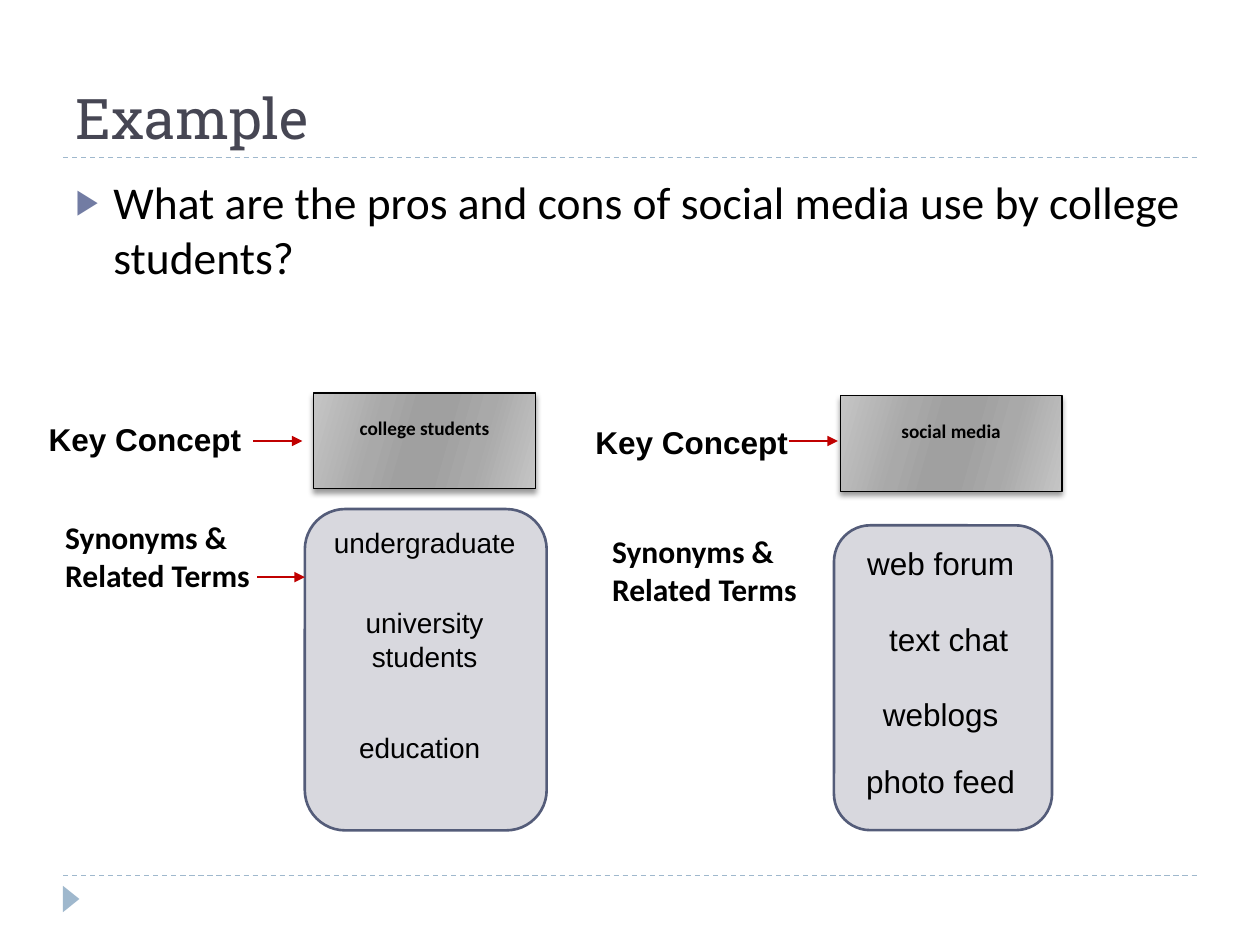
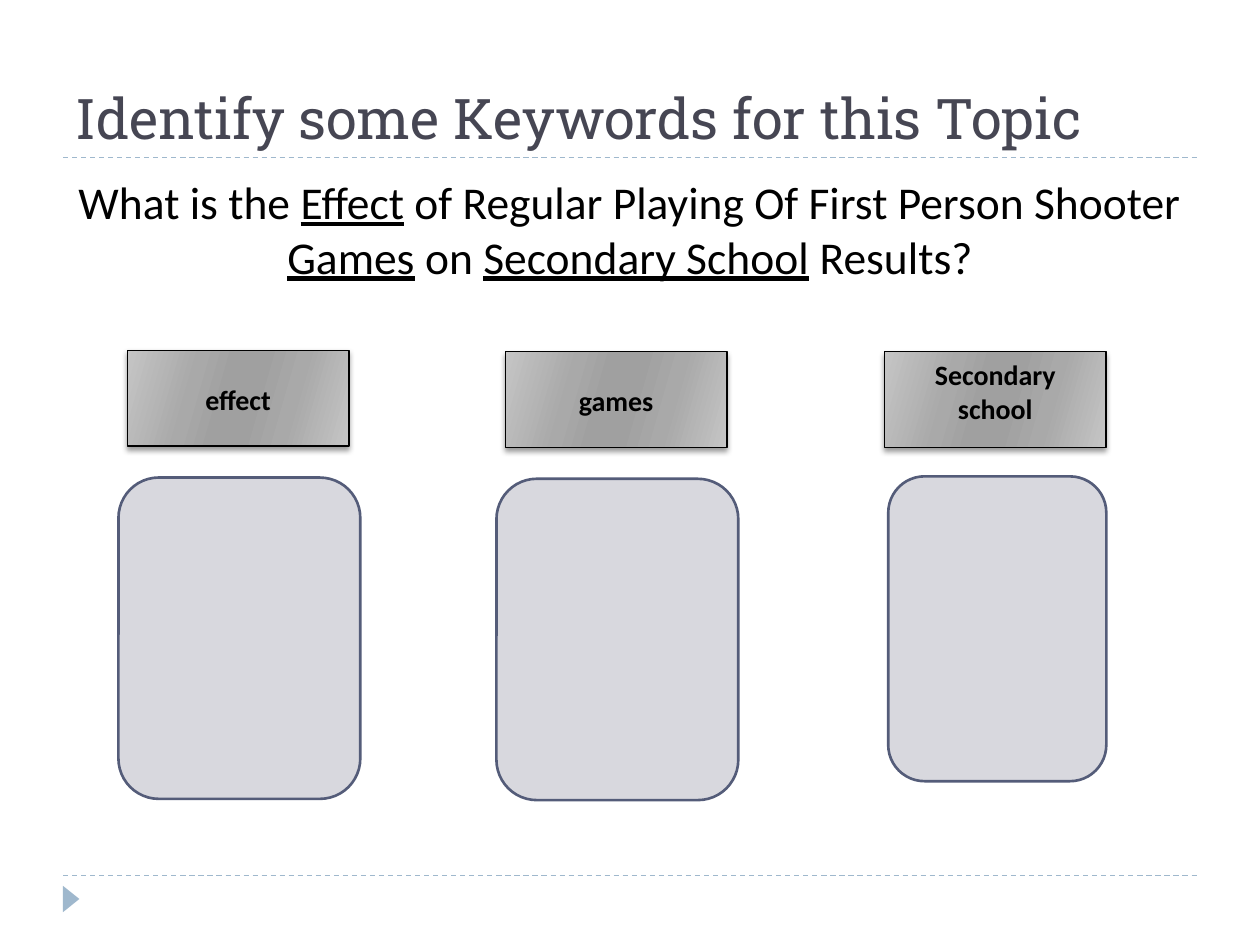
from lxml import etree
from pptx import Presentation
from pptx.dml.color import RGBColor
from pptx.enum.dml import MSO_LINE
from pptx.enum.shapes import MSO_CONNECTOR, MSO_SHAPE
from pptx.enum.text import MSO_ANCHOR, MSO_AUTO_SIZE, PP_ALIGN
from pptx.oxml import parse_xml
from pptx.oxml.ns import qn
from pptx.util import Pt

STRAIGHT = MSO_CONNECTOR.STRAIGHT
RECTANGLE = MSO_SHAPE.RECTANGLE
ROUNDED = MSO_SHAPE.ROUNDED_RECTANGLE
TRIANGLE = MSO_SHAPE.ISOSCELES_TRIANGLE
TOP, MIDDLE, BOTTOM = MSO_ANCHOR.TOP, MSO_ANCHOR.MIDDLE, MSO_ANCHOR.BOTTOM
LEFT, CENTER = PP_ALIGN.LEFT, PP_ALIGN.CENTER
NO_FIT = MSO_AUTO_SIZE.NONE
DASH = MSO_LINE.DASH

BLACK = RGBColor(0x00, 0x00, 0x00)
TITLE_SLATE = RGBColor(0x46, 0x46, 0x53)
BAND_BLUE = RGBColor(0x9F, 0xB8, 0xCD)
ARROW_RED = RGBColor(0xC0, 0x00, 0x00)
PANEL_GREY = RGBColor(0xD8, 0xD8, 0xDE)
PANEL_EDGE = RGBColor(0x54, 0x5C, 0x79)
BULLET_BLUE = RGBColor(0x72, 0x7C, 0xA3)

A_NS = 'xmlns:a="http://schemas.openxmlformats.org/drawingml/2006/main"'
STEEL_STOPS = [(0, "C5C5C5"), (30, "A9A9A9"), (45, "A0A0A0"),
               (55, "A0A0A0"), (73, "A9A9A9"), (100, "C5C5C5")]
STEEL_FILL = (
    f'<a:gradFill {A_NS} rotWithShape="1"><a:gsLst>'
    + "".join(f'<a:gs pos="{stop * 1000}"><a:srgbClr val="{shade}"/></a:gs>'
              for stop, shade in STEEL_STOPS)
    + '</a:gsLst><a:lin ang="960000" scaled="0"/></a:gradFill>')
SOFT_SHADOW = (
    f'<a:effectLst {A_NS}><a:outerShdw blurRad="{Pt(3)}" dist="{Pt(2)}" dir="5400000" '
    'rotWithShape="0"><a:srgbClr val="000000"><a:alpha val="40000"/></a:srgbClr>'
    '</a:outerShdw></a:effectLst>')
BULLET_PARTS = [
    f'<a:buClr {A_NS}><a:srgbClr val="{BULLET_BLUE}"/></a:buClr>',
    f'<a:buSzPct {A_NS} val="76000"/>',
    f'<a:buFont {A_NS} typeface="Arial"/>',
    f'<a:buChar {A_NS} char="▶"/>']
NO_BULLET = [f"<a:buNone {A_NS}/>"]

TITLE_FONT = {"name": "Roboto Slab", "size": Pt(32), "bold": False}
BODY_FONT = {"name": "Calibri", "size": Pt(26)}
CONCEPT_FONT = {"name": "Arial", "size": Pt(18), "bold": True}
SYNONYM_FONT = {"name": "Calibri", "size": Pt(18), "bold": True}
SMALL_KEYWORD = {"name": "Calibri", "size": Pt(11), "bold": True}
LARGE_KEYWORD = {"name": "Calibri", "size": Pt(16), "bold": True}
TERM_16 = {"name": "Arial", "size": Pt(16)}
TERM_18 = {"name": "Arial", "size": Pt(18)}

KEYWORD_SIZE = (126.7, 54.7)
LARGE_PANEL = (138.2, 183.6)
SMALL_PANEL = (124.6, 174.2)


def write(shape, spans, look, color=BLACK, align=CENTER, frame=None, bullet=None):
    text = shape.text_frame
    settings = {"word_wrap": True, "auto_size": NO_FIT, "vertical_anchor": TOP}
    for key, value in (settings | (frame or {})).items():
        setattr(text, key, value)
    para = text.paragraphs[0]
    para.alignment = align
    para.space_before = Pt(0)
    if bullet:
        hang = Pt(21.6) if bullet is BULLET_PARTS else 0
        properties = para._p.get_or_add_pPr()
        properties.set("marL", str(hang))
        properties.set("indent", str(-hang))
        for part in bullet:
            properties.append(parse_xml(part))
    for index, words in enumerate(spans):
        span = para.add_run()
        span.text = words
        for key, value in look.items():
            setattr(span.font, key, value)
        span.font.color.rgb = color
        if index % 2:
            span.font.underline = True


def add_line(page, left, top, right, color):
    line = page.shapes.add_connector(STRAIGHT, Pt(left), Pt(top), Pt(right), Pt(top))
    line.line.color.rgb = color
    line.line.width = Pt(0.75)
    etree.SubElement(line._element.spPr, qn("a:effectLst"))
    return line


slides = [
    {"title": "Example",
     "body": ["What are the pros and cons of social media use by college students?"],
     "bullet": BULLET_PARTS, "align": LEFT,
     "keywords": [("college students", 179.3, 224.6, 13.4, SMALL_KEYWORD),
                  ("social media", 480.2, 226.1, 13.4, SMALL_KEYWORD)],
     "panels": [(174.2, 290.9, LARGE_PANEL), (476.6, 300.2, SMALL_PANEL)]},
    {"title": "Identify some Keywords for this Topic",
     "body": ["What is the ", "Effect", " of Regular Playing Of First Person Shooter ",
              "Games", " on ", "Secondary School", " Results?"],
     "bullet": NO_BULLET, "align": CENTER,
     "keywords": [("effect", 72.7, 200.2, 18.3, LARGE_KEYWORD),
                  ("games", 288.7, 200.9, 18.3, LARGE_KEYWORD),
                  ("Secondary school", 505.4, 200.9, 3.6, LARGE_KEYWORD)],
     "panels": [(67.7, 272.9, LARGE_PANEL), (283.7, 273.6, LARGE_PANEL),
                (507.6, 272.2, SMALL_PANEL)]},
]

deck = Presentation()
deck.slide_width, deck.slide_height = Pt(720), Pt(540)

for content in slides:
    page = deck.slides.add_slide(deck.slide_layouts[1])
    title, body = page.placeholders[0], page.placeholders[1]
    for holder, top, height in [(title, 12.2, 77.8), (body, 95.8, 388.8)]:
        holder.left, holder.top = Pt(36), Pt(top)
        holder.width, holder.height = Pt(648), Pt(height)
    write(title, [content["title"]], TITLE_FONT, TITLE_SLATE, LEFT,
          {"vertical_anchor": BOTTOM})
    write(body, content["body"], BODY_FONT, align=content["align"],
          bullet=content["bullet"])

    for top in (90, 500.4):
        add_line(page, 36, top, 684, BAND_BLUE).line.dash_style = DASH
    marker = page.shapes.add_shape(TRIANGLE, Pt(33.1), Pt(509), Pt(15.1), Pt(9.4))
    marker.rotation = 90
    marker.shadow.inherit = False
    marker.fill.solid()
    marker.fill.fore_color.rgb = BAND_BLUE
    marker.line.fill.background()

    for words, left, top, inset, look in content["keywords"]:
        keyword = page.shapes.add_shape(
            RECTANGLE, Pt(left), Pt(top), *map(Pt, KEYWORD_SIZE))
        keyword.line.color.rgb = BLACK
        keyword.line.width = Pt(0.75)
        properties = keyword._element.spPr
        properties.insert(2, parse_xml(STEEL_FILL))
        properties.append(parse_xml(SOFT_SHADOW))
        write(keyword, [words], look, frame={"margin_top": Pt(inset)})

    for left, top, size in content["panels"]:
        panel = page.shapes.add_shape(ROUNDED, Pt(left), Pt(top), *map(Pt, size))
        panel.shadow.inherit = False
        panel.fill.solid()
        panel.fill.fore_color.rgb = PANEL_GREY
        panel.line.color.rgb = PANEL_EDGE
        panel.line.width = Pt(1.5)

example = deck.slides[0]

for left, top, right in [(144.7, 252, 172.8), (146.9, 329.8, 174.2), (450.7, 252, 478.8)]:
    arrow = add_line(example, left, top, right, ARROW_RED)
    etree.SubElement(arrow.line._get_or_add_ln(), qn("a:tailEnd"), type="triangle")

for left, top in [(20.2, 236.2), (332.6, 238.3)]:
    box = example.shapes.add_textbox(Pt(left), Pt(top), Pt(125.3), Pt(28.8))
    write(box, ["Key Concept"], CONCEPT_FONT, frame={"word_wrap": False})

for left, top in [(30.2, 292.3), (342.7, 300.2)]:
    box = example.shapes.add_textbox(Pt(left), Pt(top), Pt(133.2), Pt(51.1))
    write(box, ["Synonyms & Related Terms"], SYNONYM_FONT, align=LEFT,
          frame={"vertical_anchor": MIDDLE})

terms = [
    ("undergraduate", 179.3, 296.6, 126.7, 26.6, TERM_16),
    ("university students", 179.3, 342.7, 126.7, 46.1, TERM_16),
    ("education", 179.3, 414, 121, 26.6, TERM_16),
    ("web forum", 485.3, 307.4, 104.4, 28.8, TERM_18),
    ("text chat", 473, 350.6, 138.2, 28.8, TERM_18),
    ("weblogs", 485.3, 393.8, 104.4, 28.8, TERM_18),
    ("photo feed", 485.3, 432, 104.4, 28.8, TERM_18),
]
for words, left, top, width, height, look in terms:
    box = example.shapes.add_textbox(Pt(left), Pt(top), Pt(width), Pt(height))
    write(box, [words], look)

deck.save("out.pptx")
